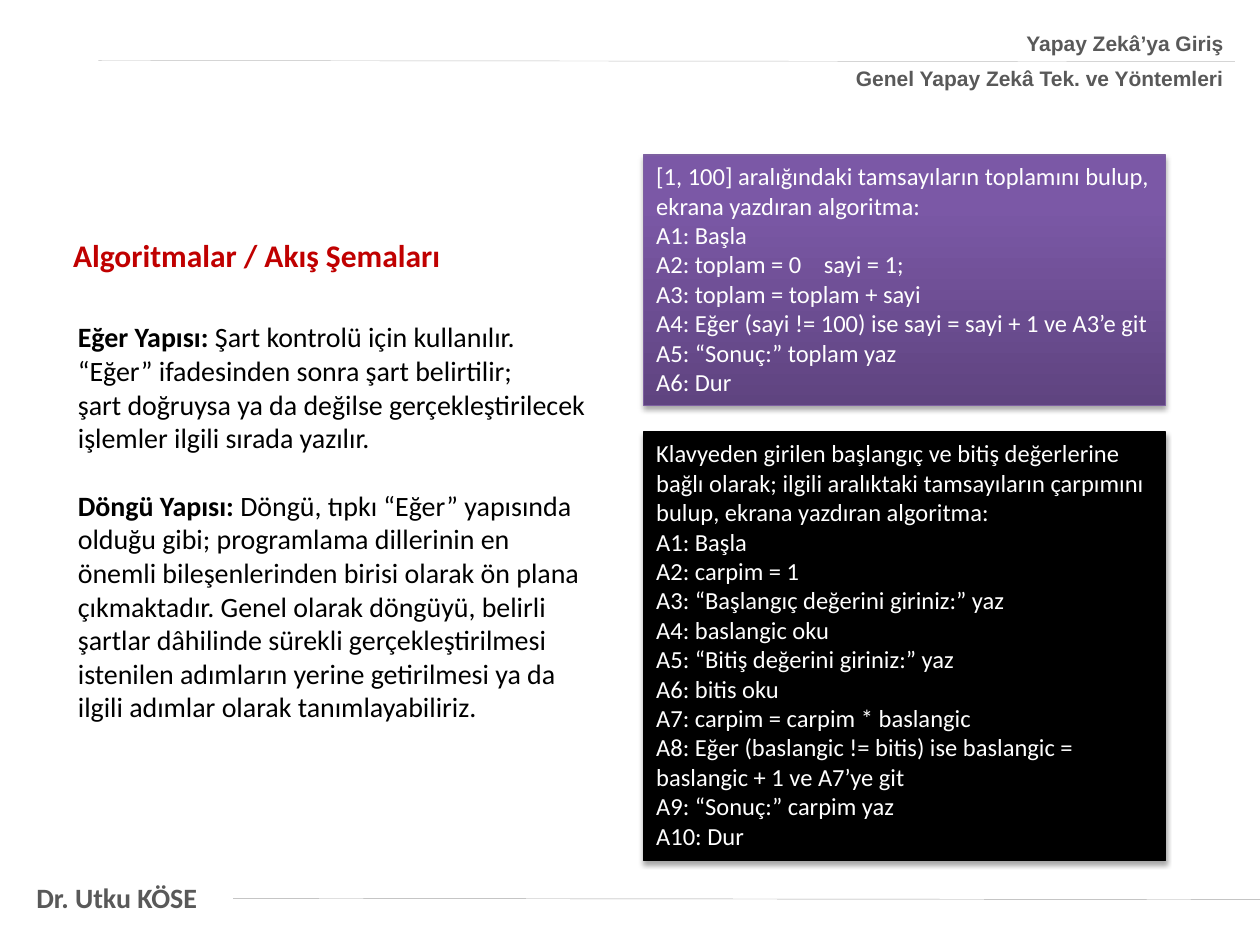
import copy

import lxml.etree
import pptx
import pptx.dml.color
import pptx.enum.dml
import pptx.enum.shapes
import pptx.enum.text
import pptx.oxml
import pptx.oxml.ns
import pptx.util

Inches, Pt = pptx.util.Inches, pptx.util.Pt
qn = pptx.oxml.ns.qn


def rgb(value):
    return pptx.dml.color.RGBColor.from_string(value)


def write(tf, paragraphs, size, color, font="Calibri", wrap=True):
    """Fill a text frame; each paragraph is a list of (text, bold) runs."""
    tf.word_wrap = wrap
    tf.auto_size = pptx.enum.text.MSO_AUTO_SIZE.NONE
    tf.vertical_anchor = pptx.enum.text.MSO_ANCHOR.TOP
    for i, runs in enumerate(paragraphs):
        p = tf.add_paragraph() if i else tf.paragraphs[0]
        p.alignment = pptx.enum.text.PP_ALIGN.LEFT
        for text, bold in runs:
            r = p.add_run()
            r.text = text
            r.font.name, r.font.size, r.font.bold = font, Pt(size), bold
            r.font.color.rgb = rgb(color)


prs = pptx.Presentation()
prs.slide_width, prs.slide_height = Inches(10), Inches(7.5)
s = prs.slides.add_slide(prs.slide_layouts[5])

# Title
title = s.shapes.title
title.left, title.top = Inches(0.48), Inches(1.82)
title.width, title.height = Inches(4.28), Inches(0.4)
write(title.text_frame, [[("Algoritmalar / Akış Şemaları", True)]], 18, "C00000")

# Header and footer rules
rules = [(0.78, 0.48, 9.8, 0.49, "BFBFBF"), (1.85, 7.13, 10, 7.14, "A6A6A6")]
for x1, y1, x2, y2, color in rules:
    rule = s.shapes.add_connector(
        pptx.enum.shapes.MSO_CONNECTOR.STRAIGHT,
        Inches(x1), Inches(y1), Inches(x2), Inches(y2))
    rule.line.color.rgb = rgb(color)
    rule.line.width = Pt(0.25)
    lxml.etree.SubElement(rule._element.spPr, qn("a:effectLst"))

# Author
author = s.shapes.add_textbox(Inches(0.19), Inches(6.94), Inches(1.5), Inches(0.37))
write(author.text_frame, [[("Dr. Utku KÖSE", True)]], 16, "595959", wrap=False)

# Course and chapter
header = s.shapes.add_textbox(Inches(5.71), Inches(0.19), Inches(4.1), Inches(0.59))
write(header.text_frame,
      [[("Yapay Zekâ’ya Giriş", True)],
       [("Genel Yapay Zekâ Tek. ve Yöntemleri", True)]],
      12, "595959", font="Arial")
for p in header.text_frame.paragraphs:
    p.alignment = pptx.enum.text.PP_ALIGN.RIGHT
    p.space_after = Pt(6)

# Explanations
body = s.shapes.add_textbox(Inches(0.52), Inches(2.49), Inches(4.24), Inches(3.33))
write(body.text_frame, [
    [("Eğer Yapısı: ", True),
     ("Şart kontrolü için kullanılır. “Eğer” ifadesinden sonra şart belirtilir;", False)],
    [("şart doğruysa ya da değilse gerçekleştirilecek işlemler ilgili sırada yazılır.",
      False)],
    [("Döngü Yapısı: ", True),
     ("Döngü, tıpkı “Eğer” yapısında olduğu gibi; programlama dillerinin en önemli "
      "bileşenlerinden birisi olarak ön plana çıkmaktadır. Genel olarak döngüyü, "
      "belirli şartlar dâhilinde sürekli gerçekleştirilmesi istenilen adımların "
      "yerine getirilmesi ya da ilgili adımlar olarak tanımlayabiliriz.", False)],
], 16, "000000")
body.text_frame.paragraphs[2].space_before = Pt(19.5)

# Algorithm panels: top, height, outline, lines
sum_lines = [
    "[1, 100] aralığındaki tamsayıların toplamını bulup, ekrana yazdıran algoritma:",
    "A1: Başla",
    "A2: toplam = 0\tsayi = 1;",
    "A3: toplam = toplam + sayi",
    "A4: Eğer (sayi != 100) ise sayi = sayi + 1 ve A3’e git",
    "A5: “Sonuç:” toplam yaz",
    "A6: Dur",
]
product_lines = [
    "Klavyeden girilen başlangıç ve bitiş değerlerine bağlı olarak; ilgili aralıktaki "
    "tamsayıların çarpımını bulup, ekrana yazdıran algoritma:",
    "A1: Başla",
    "A2: carpim = 1",
    "A3: “Başlangıç değerini giriniz:” yaz",
    "A4: baslangic oku",
    "A5: “Bitiş değerini giriniz:” yaz",
    "A6: bitis oku",
    "A7: carpim = carpim * baslangic",
    "A8: Eğer (baslangic != bitis) ise baslangic = baslangic + 1 ve A7’ye git",
    "A9: “Sonuç:” carpim yaz",
    "A10: Dur",
]
panels = []
for top, height, outline, lines in [(1.23, 1.99, "7D60A0", sum_lines),
                                    (3.43, 3.4, "000000", product_lines)]:
    sp = s.shapes.add_shape(pptx.enum.shapes.MSO_SHAPE.RECTANGLE,
                            Inches(5.11), Inches(top), Inches(4.14), Inches(height))
    sp.line.color.rgb = rgb(outline)
    sp.line.width = Pt(0.75)
    sp.shadow.inherit = False
    sp._element.spPr.find(qn("a:effectLst")).append(pptx.oxml.parse_xml(
        '<a:outerShdw xmlns:a="http://schemas.openxmlformats.org/drawingml/2006/main" '
        f'blurRad="{Pt(3.1)}" dist="{Pt(1.8)}" dir="5400000" rotWithShape="0">'
        '<a:srgbClr val="000000"><a:alpha val="35000"/></a:srgbClr></a:outerShdw>'))
    write(sp.text_frame, [[(line, False)] for line in lines], 14, "FFFFFF")
    panels.append(sp)
sum_panel, product_panel = panels

product_panel.fill.solid()
product_panel.fill.fore_color.rgb = rgb("000000")

fill = sum_panel.fill
fill.gradient()
fill.gradient_angle = 90
stop_list = sum_panel._element.spPr.find(qn("a:gradFill")).find(qn("a:gsLst"))
stop_list.append(copy.deepcopy(stop_list[-1]))
stops = [(0, "5F4480"), (0.8, "7B58A6"), (1, "7C57A8")]
for stop, (position, color) in zip(fill.gradient_stops, stops):
    stop.position = position
    stop.color.rgb = rgb(color)

# Tab stop between the two assignments in step A2
pPr = sum_panel.text_frame.paragraphs[2]._p.get_or_add_pPr()
tabs = lxml.etree.SubElement(pPr, qn("a:tabLst"))
lxml.etree.SubElement(tabs, qn("a:tab"), pos=str(Inches(1.33)), algn="l")

prs.save("out.pptx")
